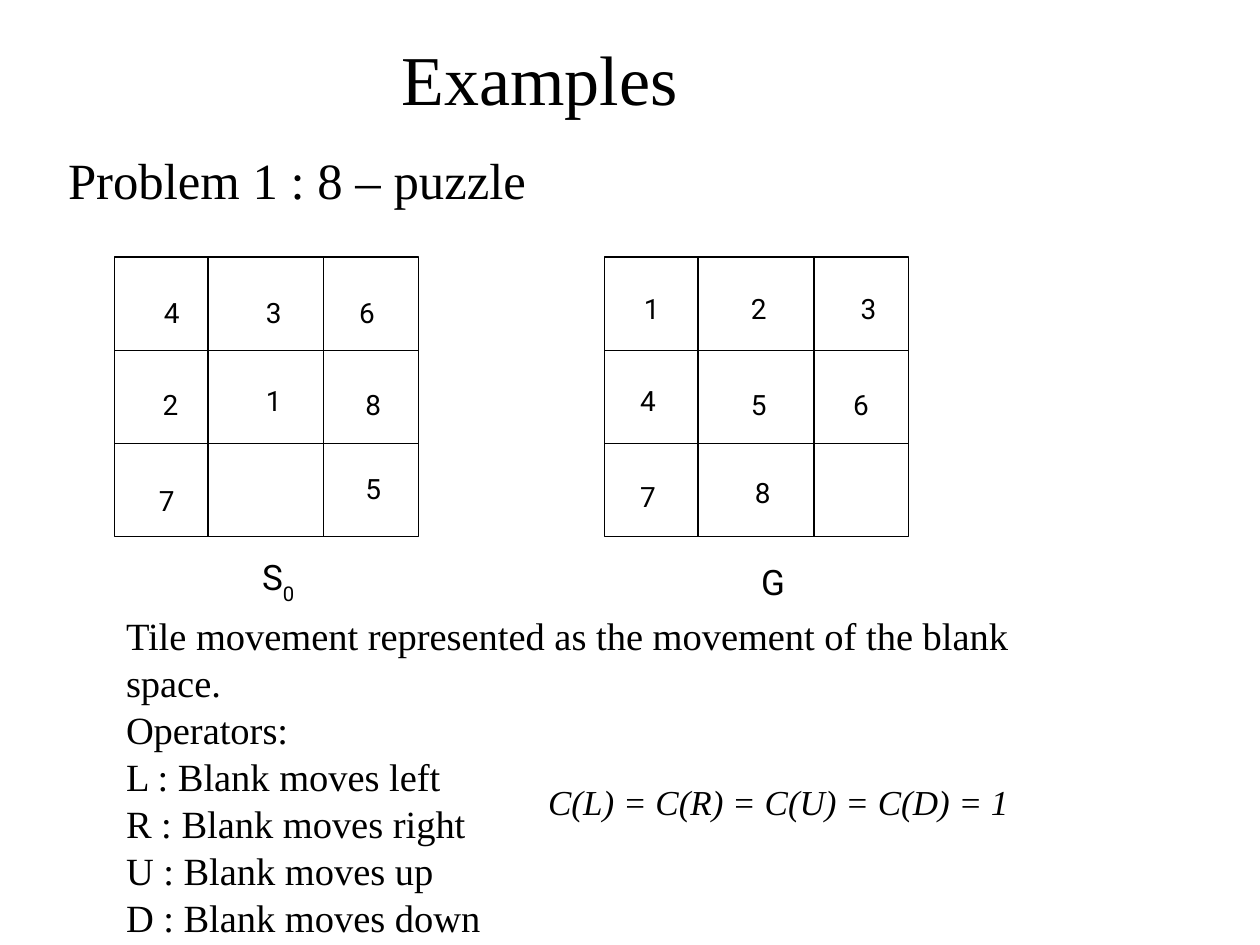
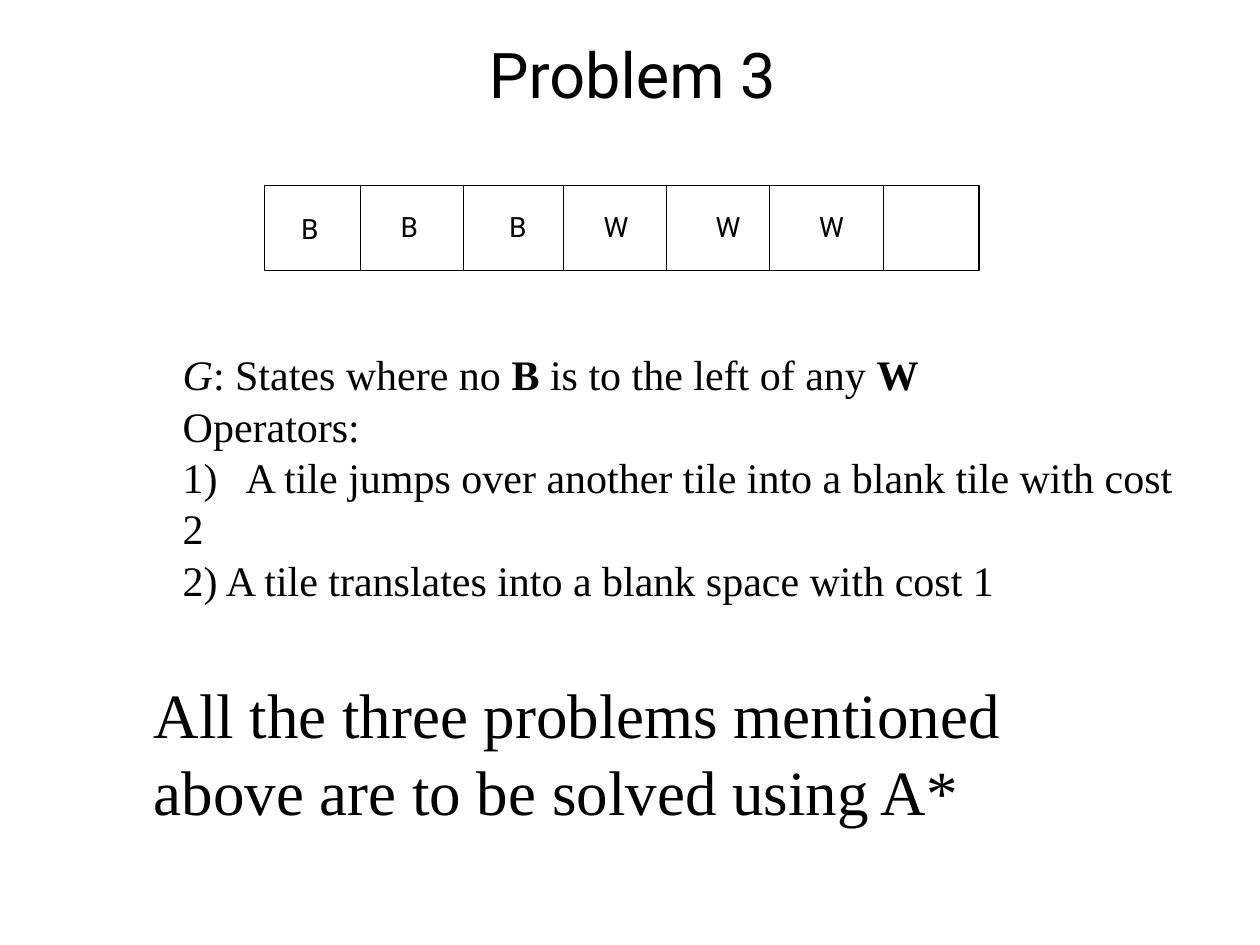
import pptx
import pptx.dml.color
import pptx.enum.shapes
import pptx.enum.text
import pptx.oxml.ns
import pptx.util
from lxml import etree

Inches = pptx.util.Inches
COLORS = {"ink": "000000", "paper": "FFFFFF"}
SERIF, SANS = "Times New Roman", "Roboto"
INK = pptx.dml.color.RGBColor.from_string(COLORS["ink"])

COLUMN_RULES = [0.74, 1.66]
ROW_RULES = [0.74, 1.48]
STRIP_RULES = [0.76, 1.58, 2.37, 3.19, 4.01, 4.91]

# Each tile: its label, then its offset from the corner of its board.
START_TILES = [("4", 0.3, 0.26), ("3", 1.11, 0.26), ("6", 1.85, 0.26),
               ("2", 0.29, 0.99), ("1", 1.11, 0.96), ("8", 1.9, 0.99),
               ("7", 0.26, 1.75), ("5", 1.9, 1.66)]
GOAL_TILES = [("1", 0.22, 0.23), ("2", 1.07, 0.23), ("3", 1.94, 0.23),
              ("4", 0.19, 0.96), ("5", 1.07, 0.99), ("6", 1.88, 0.99),
              ("7", 0.19, 1.72), ("8", 1.1, 1.69)]
STRIP_TILES = [("B", 0.2, 0.16), ("B", 0.99, 0.15), ("B", 1.85, 0.15),
               ("W", 2.6, 0.15), ("W", 3.49, 0.15), ("W", 4.31, 0.15)]


def write(frame, paragraphs, size, font, italic=None, tab=None):
    """Fill a frame; a paragraph is a string or a list of (text, style) runs."""
    frame.word_wrap = True
    frame.auto_size = pptx.enum.text.MSO_AUTO_SIZE.NONE
    frame.vertical_anchor = pptx.enum.text.MSO_ANCHOR.TOP
    frame.margin_left = frame.margin_right = Inches(0.09)
    frame.margin_top = frame.margin_bottom = Inches(0.04)
    for index, content in enumerate(paragraphs):
        paragraph = frame.add_paragraph() if index else frame.paragraphs[0]
        paragraph.alignment = pptx.enum.text.PP_ALIGN.LEFT
        paragraph.line_spacing = 1.02
        paragraph.space_before = pptx.util.Pt(0)
        properties = paragraph._p.get_or_add_pPr()
        properties.set("marL", "0")
        properties.set("indent", "0")
        etree.SubElement(properties, pptx.oxml.ns.qn("a:buNone"))
        if tab:
            stops = etree.SubElement(properties, pptx.oxml.ns.qn("a:tabLst"))
            etree.SubElement(stops, pptx.oxml.ns.qn("a:tab"),
                             pos=str(Inches(tab)), algn="l")
        paragraph.font.size = pptx.util.Pt(size)
        paragraph.font.name = font
        paragraph.font.italic = italic
        paragraph.font.color.rgb = INK
        runs = [(content, "")] if isinstance(content, str) else content
        for text, style in runs:
            run = paragraph.add_run()
            run.text = text
            if style == "bold":
                run.font.bold = True
            elif style == "italic":
                run.font.italic = True
            elif style == "subscript":
                run._r.get_or_add_rPr().set("baseline", "-33000")


def place(placeholder, box):
    (placeholder.left, placeholder.top,
     placeholder.width, placeholder.height) = map(Inches, box)
    return placeholder.text_frame


def add_text(slide, box, content, size, font, italic=None):
    frame = slide.shapes.add_textbox(*map(Inches, box)).text_frame
    write(frame, [content], size, font, italic)


def add_rule(slide, x1, y1, x2, y2):
    rule = slide.shapes.add_connector(
        pptx.enum.shapes.MSO_CONNECTOR.STRAIGHT, *map(Inches, (x1, y1, x2, y2)))
    rule.line.color.rgb = INK
    rule.line.width = pptx.util.Pt(0.75)
    etree.SubElement(rule._element.spPr, pptx.oxml.ns.qn("a:effectLst"))


def add_board(slide, box, column_rules, row_rules, tiles, tile_width):
    left, top, width, height = box
    board = slide.shapes.add_shape(
        pptx.enum.shapes.MSO_SHAPE.RECTANGLE, *map(Inches, box))
    board.shadow.inherit = False
    board.fill.background()
    board.line.color.rgb = INK
    board.line.width = pptx.util.Pt(0.75)
    for x in column_rules:
        add_rule(slide, left + x, top, left + x, top + height)
    for y in row_rules:
        add_rule(slide, left, top + y, left + width, top + y)
    for label, x, y in tiles:
        add_text(slide, (left + x, top + y, tile_width, 0.36), label, 16, SANS)


def add_slide(deck):
    slide = deck.slides.add_slide(deck.slide_layouts[1])
    slide.background.fill.solid()
    slide.background.fill.fore_color.rgb = (
        pptx.dml.color.RGBColor.from_string(COLORS["paper"]))
    return slide, slide.shapes.title, slide.placeholders[1]


def build_eight_puzzle(deck):
    slide, title, operators = add_slide(deck)
    write(place(title, (3.1, 0.23, 5.97, 0.77)), ["Examples"], 40, SERIF)
    add_text(slide, (0.45, 1.13, 9.3, 0.58), "Problem 1 : 8 – puzzle", 29, SERIF)
    for left, tiles in ((0.91, START_TILES), (4.8, GOAL_TILES)):
        add_board(slide, (left, 2.04, 2.41, 2.22),
                  COLUMN_RULES, ROW_RULES, tiles, 0.31)
    add_text(slide, (1.99, 4.36, 0.6, 0.5),
             [("S", ""), ("0", "subscript")], 20, SANS)
    add_text(slide, (5.95, 4.4, 0.39, 0.43), "G", 20, SANS)
    write(place(operators, (0.91, 4.81, 7.26, 2.69)), [
        "Tile movement represented as the movement of the blank space.",
        "Operators:",
        "L : Blank moves left",
        "R : Blank moves right",
        "U : Blank moves up",
        "D : Blank moves down",
    ], 22, SERIF)
    add_text(slide, (4.26, 6.15, 4.31, 0.43),
             "C(L) = C(R) = C(U) = C(D) = 1", 20, SERIF, italic=True)


def build_tile_strip(deck):
    slide, title, operators = add_slide(deck)
    write(place(title, (3.79, 0.23, 2.49, 1.2)), ["Problem 3"], 36, SANS)
    add_board(slide, (2.1, 1.47, 5.67, 0.68), STRIP_RULES, [], STRIP_TILES, 0.45)
    write(place(operators, (1.36, 2.72, 8.16, 2.54)), [
        [("G", "italic"), (": States where no ", ""), ("B", "bold"),
         (" is to the left of any ", ""), ("W", "bold")],
        "Operators:",
        "1)\tA tile jumps over another tile into a blank tile with cost 2",
        "2) A tile translates into a blank space with cost 1",
    ], 24, SERIF, tab=0.43)
    add_text(slide, (1.13, 5.31, 8.16, 1.31),
             "All the three problems mentioned above are to be solved using A*",
             36, SERIF)


def main():
    deck = pptx.Presentation()
    deck.slide_width, deck.slide_height = Inches(10), Inches(7.5)
    build_eight_puzzle(deck)
    build_tile_strip(deck)
    deck.save("out.pptx")


if __name__ == "__main__":
    main()
